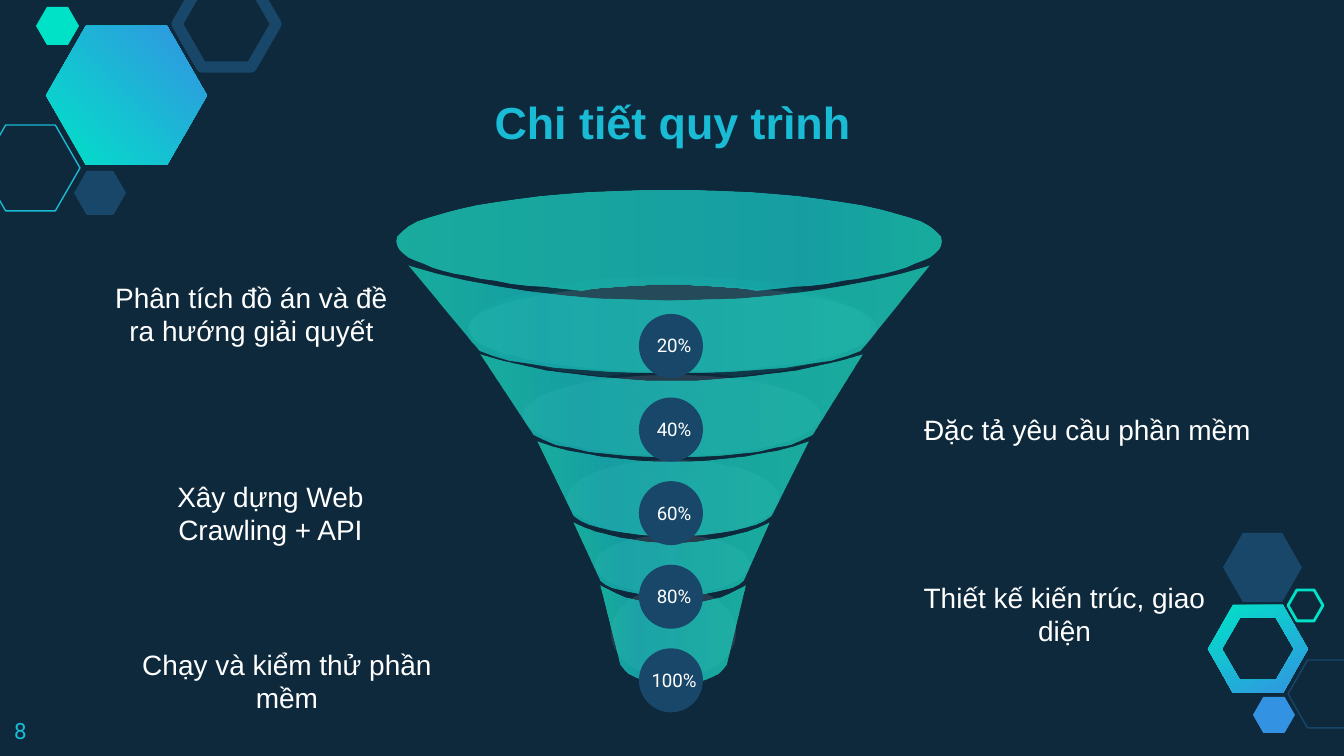
from lxml.etree import SubElement
from pptx import Presentation
from pptx.dml.color import RGBColor
from pptx.enum.shapes import MSO_SHAPE
from pptx.enum.text import MSO_ANCHOR, MSO_AUTO_SIZE, PP_ALIGN
from pptx.oxml import parse_xml
from pptx.oxml.ns import nsdecls, qn
from pptx.util import Pt

PX = 9144000 / 1344
NAVY, BLUE, CYAN, MINT, WHITE = "184769", "3393E2", "19BBD5", "00E2C7", "FFFFFF"
RIM_STOPS = [(0, "1ED7BE"), (75, "1BC5C5"), (100, "1CD9BD")]
BAND_STOPS = [(0, "1CD9BD"), (25, "1BC5C5"), (100, "1ED7BE")]


def paint_gradient(shape, stops, angle=0, opacity=100):
    """Fill with (percent, colour) stops; angle is clockwise in degrees, opacity in percent."""
    shape.shadow.inherit = False
    shape.line.fill.background()
    shape.fill.background()
    properties = shape.element.spPr
    gradient = parse_xml(f'<a:gradFill {nsdecls("a")} rotWithShape="1"><a:gsLst/>'
                         f'<a:lin ang="{angle * 60000}" scaled="0"/></a:gradFill>')
    for percent, color in stops:
        stop = SubElement(gradient[0], qn("a:gs"), pos=str(percent * 1000))
        rgb = SubElement(stop, qn("a:srgbClr"), val=color)
        SubElement(rgb, qn("a:alpha"), val=str(opacity * 1000))
    properties.replace(properties.find(qn("a:noFill")), gradient)


def bezier(*controls, steps=16):
    """Points along a cubic curve through four control points."""
    points = []
    for step in range(steps + 1):
        t = step / steps
        weights = ((1 - t) ** 3, 3 * t * (1 - t) ** 2, 3 * t * t * (1 - t), t ** 3)
        points.append(tuple(sum(w * point[axis] for w, point in zip(weights, controls))
                            for axis in (0, 1)))
    return points


presentation = Presentation()
presentation.slide_width = round(1344 * PX)
presentation.slide_height = round(756 * PX)
slide = presentation.slides.add_slide(presentation.slide_layouts[5])
slide.background.fill.solid()
slide.background.fill.fore_color.rgb = RGBColor.from_string("0E293C")
shapes = slide.shapes

# Corner hexagons: left, top, width, height, colour, outline width (0 = filled)
hexagons = [
    (46, 26, 161, 139, None, 0),
    (-19, 125, 99, 86, CYAN, 0.75),
    (74, 171, 52, 44, NAVY, 0),
    (177, -19, 99, 86, NAVY, 6),
    (36, 7, 43, 38, MINT, 0),
    (1288, 660, 79, 68, NAVY, 0.75),
    (1253, 697, 42, 36, BLUE, 0),
    (1223, 533, 79, 69, NAVY, 0),
    (1288, 590, 35, 31, MINT, 1.5),
]
for left, top, width, height, color, outline in hexagons:
    hexagon = shapes.add_shape(MSO_SHAPE.HEXAGON, *(round(v * PX) for v in (left, top, width, height)))
    hexagon.adjustments[0] = 0.287
    hexagon.shadow.inherit = False
    if color is None:
        paint_gradient(hexagon, [(0, MINT), (100, BLUE)], angle=315)
    elif outline:
        hexagon.fill.background()
        hexagon.line.color.rgb = RGBColor.from_string(color)
        hexagon.line.width = Pt(outline)
    else:
        hexagon.fill.solid()
        hexagon.fill.fore_color.rgb = RGBColor.from_string(color)
        hexagon.line.fill.background()

# Hexagonal ring: outer contour and hole
contours = []
for half_width, half_height in ((50, 44), (36, 31)):
    contours.append([(1258 + x * half_width, 649 + y * half_height) for x, y in
                     ((-1, 0), (-0.5, -1), (0.5, -1), (1, 0), (0.5, 1), (-0.5, 1))])
outer, hole = contours
builder = shapes.build_freeform(*outer[0], scale=PX)
builder.add_line_segments(outer[1:])
builder.move_to(*hole[0])
builder.add_line_segments(hole[:0:-1])
paint_gradient(builder.convert_to_shape(), [(0, MINT), (100, BLUE)], angle=60)

title = shapes.title
title.left, title.top, title.width, title.height = (round(v * PX) for v in (457, 67, 431, 95))
title.text_frame.text = "Chi tiết quy trình"
title.text_frame.auto_size = MSO_AUTO_SIZE.NONE
title.text_frame.vertical_anchor = MSO_ANCHOR.BOTTOM
title.text_frame.margin_bottom = round(13 * PX)
paragraph = title.text_frame.paragraphs[0]
paragraph.alignment = PP_ALIGN.CENTER
font = paragraph.runs[0].font
font.name, font.size, font.bold = "Arial", Pt(24), True
font.color.rgb = RGBColor.from_string(CYAN)

# Translucent ellipses inside the funnel
sheens = [(611, 587, 125, 91), (523, 375, 298, 81), (468, 285, 409, 87),
          (595, 535, 155, 59), (567, 460, 212, 77)]
for bounds in sheens:
    sheen = shapes.add_shape(MSO_SHAPE.OVAL, *(round(v * PX) for v in bounds))
    paint_gradient(sheen, [(0, WHITE), (100, WHITE)], opacity=9)

# Funnel bands: upper and lower edge, each as left, right, y, sag
bands = [
    ((409, 929, 266, 35), (480, 860, 351, 22)),
    ((481, 862, 355, 26), (534, 812, 435, 22)),
    ((538, 808, 442, 20), (574, 771, 516, 20)),
    ((574, 770, 523, 20), (601, 744, 581, 15)),
    ((601, 746, 586, 19), (621, 727, 665, 20)),
]
for band in bands:
    edges = []
    for (left, right, y, sag), inset in zip(band, (0.28, 0.15)):
        shift, depth = inset * (right - left), y + sag * 4 / 3
        edges.append(bezier((left, y), (left + shift, depth), (right - shift, depth), (right, y)))
    outline = edges[0] + edges[1][::-1]
    builder = shapes.build_freeform(*outline[0], scale=PX)
    builder.add_line_segments(outline[1:])
    paint_gradient(builder.convert_to_shape(), BAND_STOPS, opacity=75)

# Funnel rims, mirrored about the centre, with a notch at the bottom
for center, middle, half, opacity in ((670, 328, 200, 9), (669, 242, 272, 75)):
    right_half = [(center + x * half, middle + y) for x, y in
                  bezier((0, -51), (0.55, -51), (1, -28), (1, 0))
                  + bezier((1, 0), (1, 22), (0.75, 39), (0.39, 47))
                  + [(0.32, 49)]
                  + bezier((0.28, 47), (0.19, 45), (0.1, 43), (0, 43))]
    outline = right_half + [(2 * center - x, y) for x, y in right_half[::-1]]
    builder = shapes.build_freeform(*outline[0], scale=PX)
    builder.add_line_segments(outline[1:])
    paint_gradient(builder.convert_to_shape(), RIM_STOPS, opacity=opacity)

# Texts: left, top, width, height, wording, font, size, colour, alignment
texts = [(1, 709, 81, 44, "8", "Roboto", 12, CYAN, PP_ALIGN.LEFT)]
steps = [
    (87, 273, 329, 82, "Phân tích đồ án và đề ra hướng giải quyết"),
    (876, 406, 423, 47, "Đặc tả yêu cầu phần mềm"),
    (106, 472, 329, 82, "Xây dựng Web Crawling + API"),
    (887, 573, 355, 82, "Thiết kế kiến trúc, giao diện"),
    (106, 640, 362, 82, "Chạy và kiểm thử phần mềm"),
]
for step in steps:
    texts.append((*step, "Arial", 15, WHITE, PP_ALIGN.CENTER))
for index in range(5):
    top = 314 + 83.6 * index
    badge = shapes.add_shape(MSO_SHAPE.OVAL, *(round(v * PX) for v in (639, top, 64, 64)))
    badge.shadow.inherit = False
    badge.fill.solid()
    badge.fill.fore_color.rgb = RGBColor.from_string(NAVY)
    badge.line.fill.background()
    texts.append((629, top + 14, 90, 35, f"{20 * (index + 1)}%", "Roboto", 10, WHITE, PP_ALIGN.CENTER))

for left, top, width, height, wording, font_name, size, color, alignment in texts:
    text_box = shapes.add_textbox(*(round(v * PX) for v in (left, top, width, height)))
    text_frame = text_box.text_frame
    text_frame.word_wrap = True
    text_frame.vertical_anchor = MSO_ANCHOR.MIDDLE
    text_frame.text = wording
    paragraph = text_frame.paragraphs[0]
    paragraph.alignment = alignment
    font = paragraph.runs[0].font
    font.name, font.size = font_name, Pt(size)
    font.color.rgb = RGBColor.from_string(color)

presentation.save("out.pptx")
